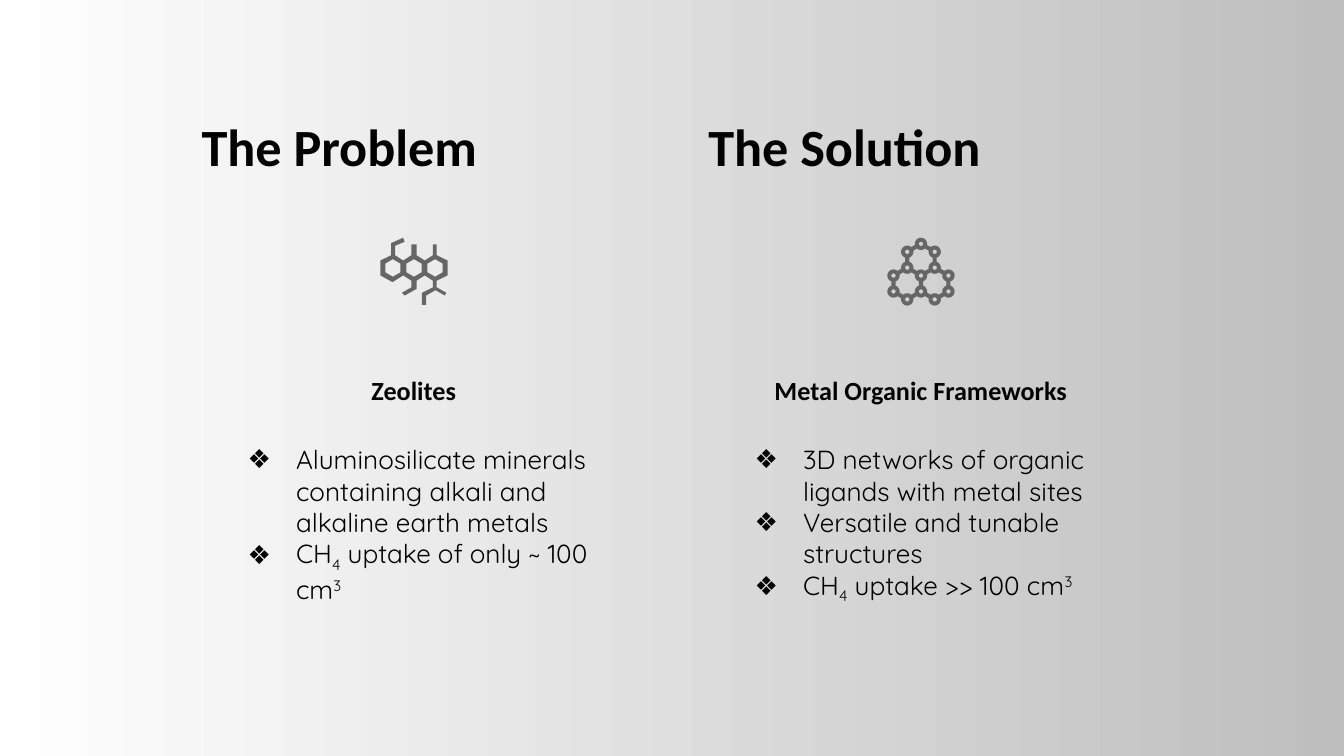
"""Build a slide that sets zeolites beside metal organic frameworks."""
from dataclasses import dataclass
from itertools import combinations
from math import cos, dist, pi, sin, sqrt

from lxml import etree
from pptx import Presentation
from pptx.dml.color import RGBColor
from pptx.enum.text import MSO_ANCHOR, MSO_AUTO_SIZE, PP_ALIGN
from pptx.oxml.ns import qn
from pptx.util import Pt

TOP, MIDDLE = MSO_ANCHOR.TOP, MSO_ANCHOR.MIDDLE
LEFT, CENTER = PP_ALIGN.LEFT, PP_ALIGN.CENTER
NO_FIT = MSO_AUTO_SIZE.NONE
COMPARISON = 4

Point = tuple[float, float]
Loop = list[Point]


@dataclass(frozen=True)
class Theme:
    ink: str = "000000"
    icon: str = "666666"
    start: str = "FFFFFF"
    end: str = "BEBEBE"
    head: str = "Calibri"
    body: str = "Quicksand"
    big: int = 28
    small: int = 14


@dataclass(frozen=True)
class Style:
    font: str
    size: int
    bold: bool
    align: int = LEFT
    anchor: int = TOP
    bullet: str = ""


@dataclass(frozen=True)
class Box:
    left: float
    top: float
    width: float
    height: float


@dataclass(frozen=True)
class Column:
    left: float
    width: float
    depth: float
    title: str
    head: str
    items: list[list[str]]
    icon: list[Loop]


THEME = Theme()
TITLE = Style(THEME.head, THEME.big, True)
HEAD = Style(THEME.head, THEME.small, True, CENTER, MIDDLE)
LIST = Style(THEME.body, THEME.small, False, bullet="❖")
BASE = {"4": "-25000", "3": "30000"}

CHAIN = [
    (12.2, 0), (5.8, 2.9), (5.8, 9.4), (0, 12.2), (0, 20.2), (6.5, 23.8), (12.2, 20.2),
    (16.6, 23), (16.6, 26.6), (11.5, 29.5), (13, 31), (19.4, 27.4), (19.4, 23),
    (23.8, 20.2), (28.1, 23), (28.1, 26.6), (22.3, 29.5), (22.3, 36), (24.5, 36),
    (24.5, 31), (29.5, 28.1), (34.6, 31), (35.3, 29.5), (30.2, 26.6), (30.2, 23),
    (36, 20.2), (36, 12.2), (30.2, 9.4), (30.2, 3.6), (28.1, 3.6), (28.1, 9.4),
    (23.8, 12.2), (19.4, 9.4), (19.4, 3.6), (16.6, 3.6), (16.6, 9.4), (12.2, 12.2),
    (7.9, 9.4), (7.9, 4.3), (13, 2.2),
]


def ring(x: float, y: float, size: float, count: int = 6) -> Loop:
    """Return the corners of a regular polygon that stands on a corner."""
    turns = [2 * pi * k / count for k in range(count)]
    return [(round(x + size * sin(t), 2), round(y - size * cos(t), 2)) for t in turns]


def bond(a: Point, b: Point, edge: float, half: float) -> Loop:
    """Return a bar between the rims of two nodes."""
    span = dist(a, b)
    ux, uy = (b[0] - a[0]) / span, (b[1] - a[1]) / span
    trim = sqrt(edge**2 - half**2)
    spots = [(trim, half), (span - trim, half), (span - trim, -half), (trim, -half)]
    return [(a[0] + ux * s - uy * h, a[1] + uy * s + ux * h) for s, h in spots]


def zeolite() -> list[Loop]:
    """Return a chain of three open cells with side branches."""
    return [CHAIN] + [ring(18 + 11.3 * k, 16.2, 4.7) for k in (-1, 0, 1)]


def network() -> list[Loop]:
    """Return three joined hexagons with a hollow node on each corner."""
    side, edge, hole, half = 8.5, 3.3, 1.15, 1.1
    step = side * sqrt(3) / 2
    cells = [(18, 11.8), (18 - step, 11.8 + 1.5 * side), (18 + step, 11.8 + 1.5 * side)]
    nodes: Loop = []
    for x, y in cells:
        for spot in ring(x, y, side):
            if all(dist(spot, node) > 1 for node in nodes):
                nodes.append(spot)
    rims = [ring(x, y, size, 24) for x, y in nodes for size in (edge, hole)]
    pairs = [(a, b) for a, b in combinations(nodes, 2) if dist(a, b) < 1.1 * side]
    return rims + [bond(a, b, edge, half) for a, b in pairs]


def draw(slide, loops: list[Loop], left: float, top: float) -> None:
    """Draw an icon as one filled outline."""
    first, *rest = [[(Pt(left + x), Pt(top + y)) for x, y in loop] for loop in loops]
    pen = slide.shapes.build_freeform(*first[0])
    pen.add_line_segments(first[1:])
    for loop in rest:
        pen.move_to(*loop[0])
        pen.add_line_segments(loop[1:])
    shape = pen.convert_to_shape()
    shape.shadow.inherit = False
    shape.fill.solid()
    shape.fill.fore_color.rgb = RGBColor.from_string(THEME.icon)
    shape.line.fill.background()


def mark(para, sign: str) -> None:
    """Give a paragraph a hanging bullet."""
    props = para._p.get_or_add_pPr()
    props.set("marL", str(Pt(36)))
    props.set("indent", str(Pt(-26)))
    tint = etree.SubElement(props, qn("a:buClr"))
    etree.SubElement(tint, qn("a:srgbClr"), val=THEME.ink)
    etree.SubElement(props, qn("a:buChar"), char=sign)


def write(shape, box: Box, items: list[list[str]], style: Style) -> None:
    """Place a text shape and fill it with styled paragraphs."""
    shape.left, shape.top = Pt(box.left), Pt(box.top)
    shape.width, shape.height = Pt(box.width), Pt(box.height)
    frame = shape.text_frame
    frame.word_wrap, frame.auto_size = True, NO_FIT
    frame.vertical_anchor = style.anchor
    frame.margin_left = frame.margin_right = Pt(7.2)
    frame.margin_top = frame.margin_bottom = 0
    for k, parts in enumerate(items):
        para = frame.add_paragraph() if k else frame.paragraphs[0]
        if style.bullet:
            mark(para, style.bullet)
        para.alignment, para.space_before = style.align, Pt(0)
        font = para.font
        font.name, font.size, font.bold = style.font, Pt(style.size), style.bold
        font.color.rgb = RGBColor.from_string(THEME.ink)
        for part in parts:
            run = para.add_run()
            run.text = part
            if part in BASE:
                run._r.get_or_add_rPr().set("baseline", BASE[part])


def paint(slide) -> None:
    """Fill the background with a gradient from left to right."""
    fill = slide.background.fill
    fill.gradient()
    fill.gradient_angle = 0
    for stop, tint in zip(fill.gradient_stops, (THEME.start, THEME.end)):
        stop.color.rgb = RGBColor.from_string(tint)


def main() -> None:
    """Build and save the slide."""
    deck = Presentation()
    deck.slide_width, deck.slide_height = Pt(720), Pt(405)
    slide = deck.slides.add_slide(deck.slide_layouts[COMPARISON])
    paint(slide)
    title, *slots = slide.placeholders
    extra = slide.shapes.add_textbox(0, 0, 0, 0)
    columns = [
        Column(100.8, 247, 95, "The Problem", "Zeolites", [
            ["Aluminosilicate minerals containing alkali and alkaline earth metals"],
            ["CH", "4", " uptake of only ~ 100 cm", "3"],
        ], zeolite()),
        Column(372.4, 265, 106.5, "The Solution", "Metal Organic Frameworks", [
            ["3D networks of organic ligands with metal sites"],
            ["Versatile and tunable structures"],
            ["CH", "4", " uptake >> 100 cm", "3"],
        ], network()),
    ]
    for col, top, head, body in zip(columns, (title, extra), slots[::2], slots[1::2]):
        write(top, Box(col.left, 61.2, col.width, 37.4), [[col.title]], TITLE)
        write(head, Box(col.left + 12.2, 193.7, 217.4, 30.2), [[col.head]], HEAD)
        write(body, Box(col.left + 14.6, 237.6, 217.4, col.depth), col.items, LIST)
        draw(slide, col.icon, col.left + 103, 127.4)
    deck.save("out.pptx")


if __name__ == "__main__":
    main()
